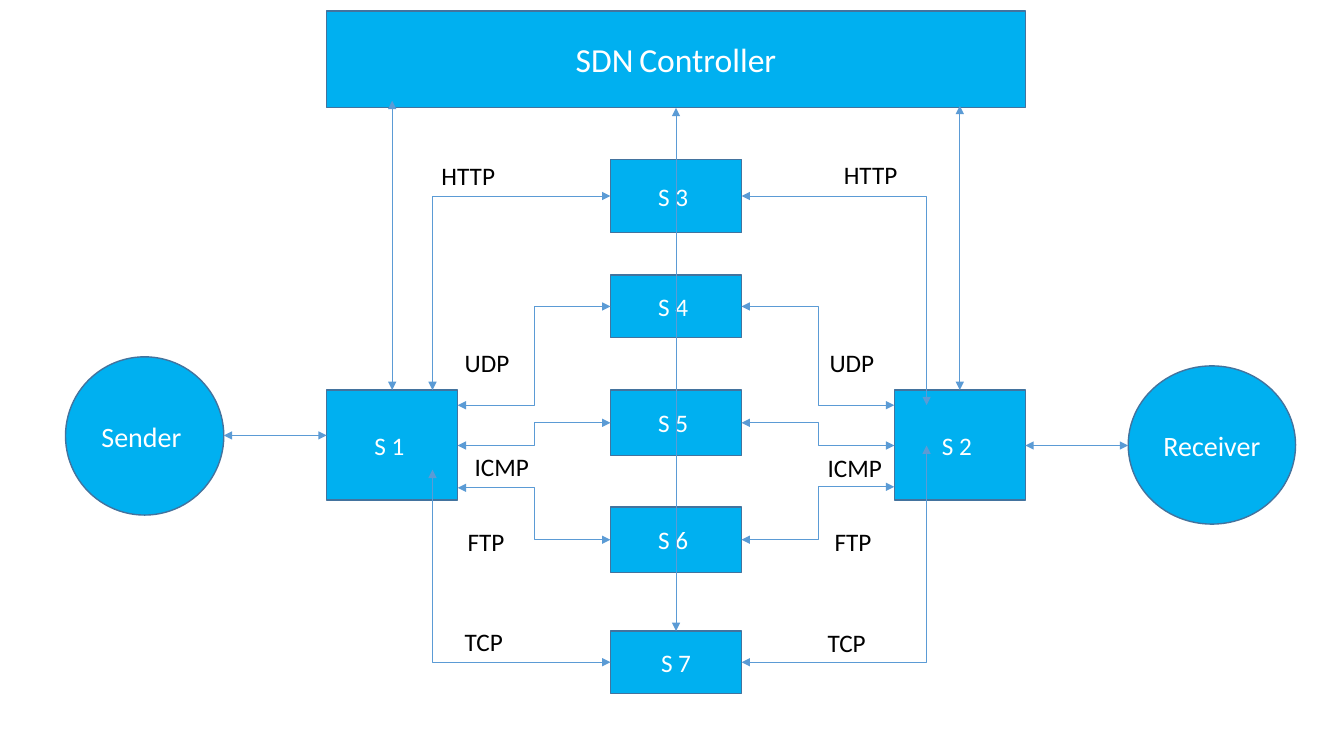
from pptx import Presentation
from pptx.dml.color import RGBColor
from pptx.enum.shapes import MSO_CONNECTOR, MSO_SHAPE
from pptx.enum.text import MSO_ANCHOR, MSO_AUTO_SIZE, PP_ALIGN
from pptx.oxml.ns import qn
from pptx.util import Inches, Pt
from lxml.etree import SubElement

deck = Presentation()
deck.slide_width, deck.slide_height = Inches(13.33), Inches(7.5)
slide = deck.slides.add_slide(deck.slide_layouts[6])

SWITCH_WIDTH = 1.3
column_step = (8.87 - 3.24) / 2
ingress, middle, egress = [3.24 + i * column_step for i in range(3)]
ingress_right, middle_right, egress_right = [
    x + SWITCH_WIDTH for x in (ingress, middle, egress)]
edge_top, edge_height = 3.87, 1.09


def add_node(geometry, left, top, width, height, words):
    node = slide.shapes.add_shape(
        geometry, Inches(left), Inches(top), Inches(width), Inches(height))
    node.shadow.inherit = False
    node.fill.solid()
    node.fill.fore_color.rgb = RGBColor.from_string("00B0F0")
    node.line.color.rgb = RGBColor.from_string("43739E")
    node.line.width = Pt(1)
    node.text_frame.word_wrap = True
    node.text_frame.vertical_anchor = MSO_ANCHOR.MIDDLE
    paragraph = node.text_frame.paragraphs[0]
    paragraph.alignment = PP_ALIGN.CENTER
    for word, size in words:
        run = paragraph.add_run()
        run.text = word
        run.font.name, run.font.size = "Calibri", Pt(size)
        run.font.color.rgb = RGBColor.from_string("FFFFFF")


def add_link(start, end, geometry="line"):
    kind = MSO_CONNECTOR.STRAIGHT if geometry == "line" else MSO_CONNECTOR.ELBOW
    link = slide.shapes.add_connector(kind, *map(Inches, start + end))
    link.line.color.rgb = RGBColor.from_string("5B9BD5")
    link.line.width = Pt(0.5)
    properties = link.element.spPr
    properties.find(qn("a:prstGeom")).set("prst", geometry)
    stroke = properties.find(qn("a:ln"))
    for tip in ("a:headEnd", "a:tailEnd"):
        SubElement(stroke, qn(tip), type="triangle")
    SubElement(properties, qn("a:effectLst"))


add_node(MSO_SHAPE.OVAL, 0.65, 3.54, 1.57, 1.57, [("Sender ", 20)])
add_node(MSO_SHAPE.OVAL, 11.19, 3.63, 1.66, 1.57, [("Receiver", 20)])
for name, left in (("S 1 ", ingress), ("S 2 ", egress)):
    add_node(MSO_SHAPE.RECTANGLE, left, edge_top, SWITCH_WIDTH, edge_height, [(name, 18)])

add_link((2.22, 4.32), (ingress, 4.32))
add_link((egress_right, 4.42), (11.19, 4.42))

ingress_trunk, egress_trunk = 4.29, 9.19
routes = [
    ("S 3 ", 1.58, 0.73, 3.87, 4.02, "bentConnector2"),
    ("S 4 ", 2.73, 0.62, 4.02, 4.02, "bentConnector3"),
    ("S 5 ", 3.87, 0.65, 4.42, 4.42, "bentConnector3"),
    ("S 6 ", 5.03, 0.65, 4.84, 4.83, "bentConnector3"),
    ("S 7", 6.26, 0.62, 4.66, 4.42, "bentConnector2"),
]
for name, top, height, ingress_port, egress_port, geometry in routes:
    add_node(MSO_SHAPE.RECTANGLE, middle, top, SWITCH_WIDTH, height, [(name, 18)])
    on_trunk = geometry == "bentConnector2"
    port_row = top + height / 2
    add_link((middle, port_row),
             (ingress_trunk if on_trunk else ingress_right, ingress_port), geometry)
    add_link((middle_right, port_row),
             (egress_trunk if on_trunk else egress, egress_port), geometry)

protocols = [
    ("HTTP", (4.28, 1.54, 1.38), (8.27, 1.53, 1.38)),
    ("UDP", (4.51, 3.4, 0.66), (8.13, 3.4, 0.66)),
    ("ICMP", (4.61, 4.43, 0.77), (8.11, 4.44, 1.13)),
    ("FTP", (4.54, 5.17, 0.6), (8.18, 5.17, 0.79)),
    ("TCP", (4.51, 6.16, 0.66), (8.11, 6.17, 0.66)),
]
for protocol, *places in protocols:
    for left, top, width in places:
        label = slide.shapes.add_textbox(
            Inches(left), Inches(top), Inches(width), Inches(0.4)).text_frame
        label.word_wrap = True
        label.auto_size = MSO_AUTO_SIZE.SHAPE_TO_FIT_TEXT
        run = label.paragraphs[0].add_run()
        run.text = protocol
        run.font.name, run.font.size = "Calibri", Pt(18)
        run.font.color.rgb = RGBColor.from_string("000000")

add_node(MSO_SHAPE.RECTANGLE, ingress, 0.11, egress_right - ingress, 0.96,
         [("SDN", 24), (" ", 18), ("Controller", 24)])
for start, end in (
    ((ingress + SWITCH_WIDTH / 2, edge_top), (ingress + SWITCH_WIDTH / 2, 1)),
    ((egress + SWITCH_WIDTH / 2, edge_top), (egress + SWITCH_WIDTH / 2, 1.05)),
    ((middle + SWITCH_WIDTH / 2, 1.07), (middle + SWITCH_WIDTH / 2, 6.26)),
):
    add_link(start, end)

deck.save("out.pptx")
